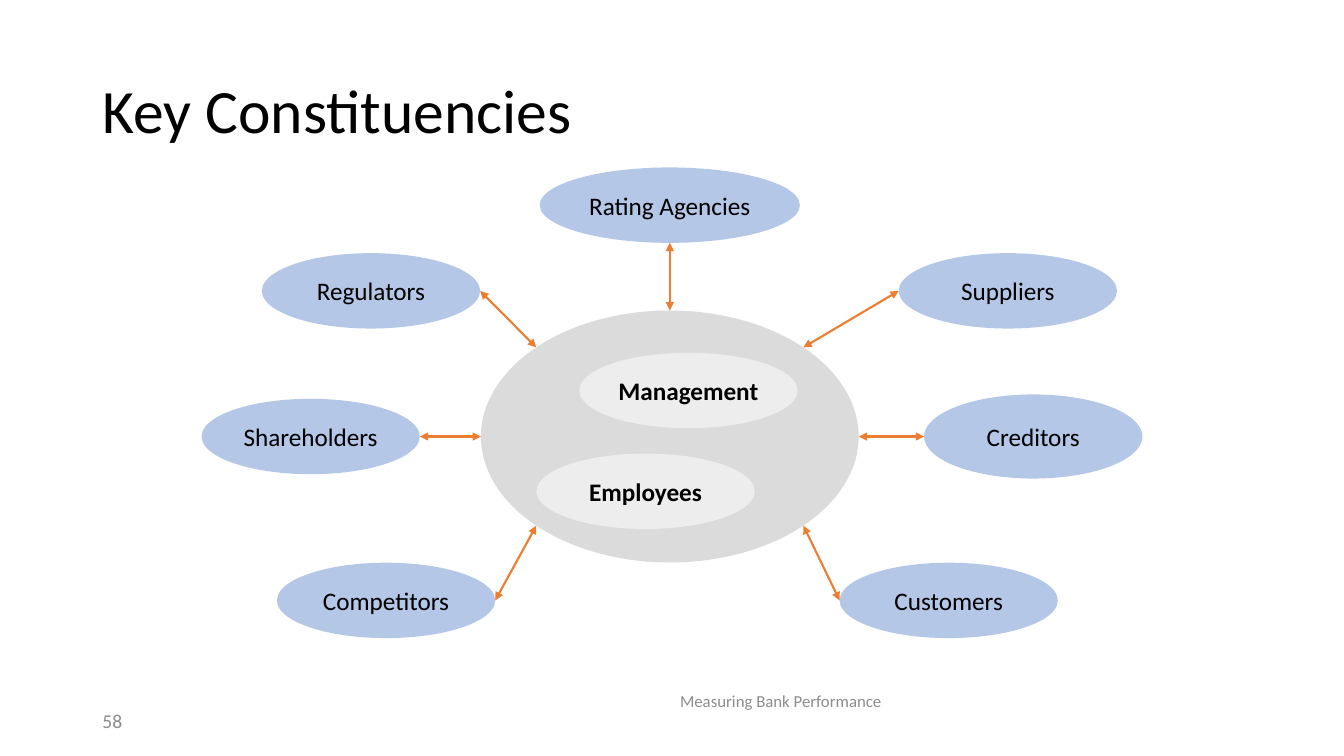
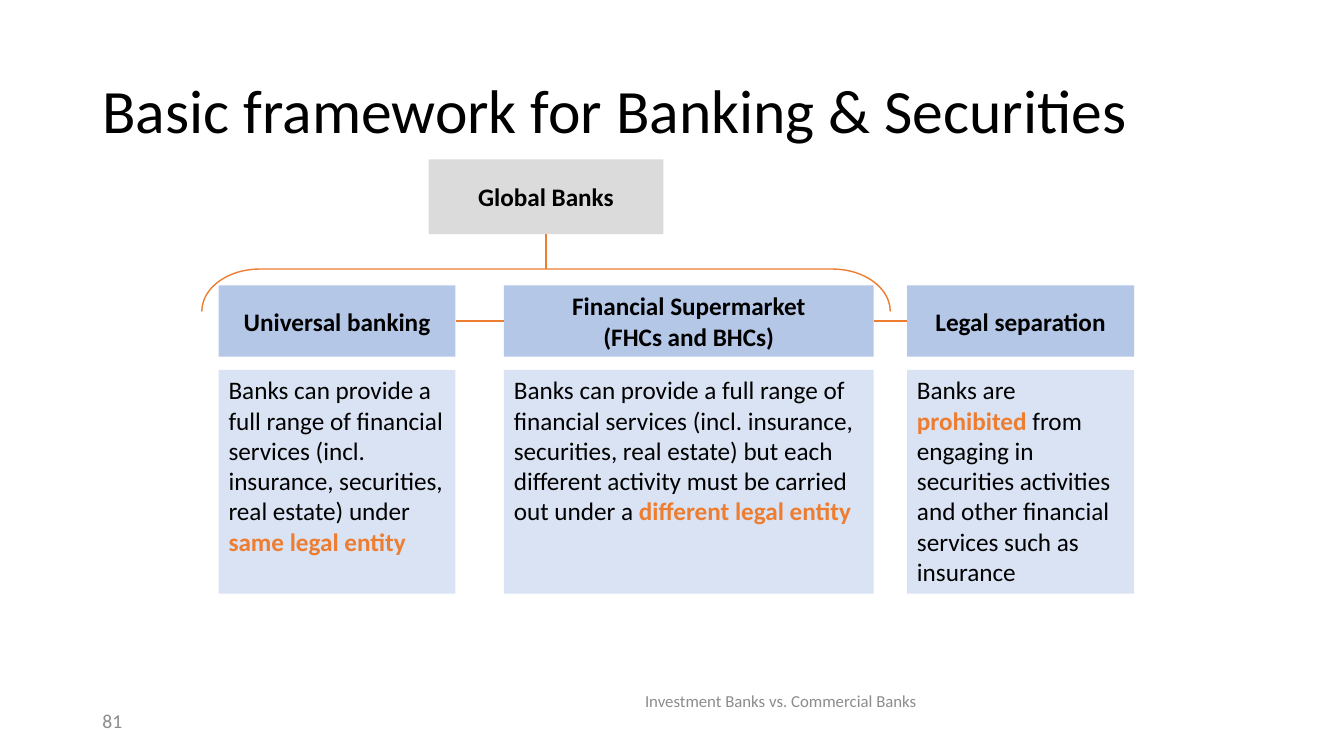
from math import hypot

from lxml.etree import SubElement
from pptx import Presentation
from pptx.dml.color import RGBColor
from pptx.enum.shapes import MSO_CONNECTOR, MSO_SHAPE
from pptx.enum.text import MSO_ANCHOR, MSO_AUTO_SIZE, PP_ALIGN
from pptx.oxml.ns import qn
from pptx.util import Cm, Pt

COLORS = {
    "text": "000000",
    "muted": "8C8C8C",
    "accent": "ED7D31",
    "hub": "DBDBDB",
    "insider": "EDEDED",
    "heading": "B4C7E7",
    "body": "DAE3F3",
}


def color(name):
    return RGBColor.from_string(COLORS[name])


class Deck:
    font = "Calibri"

    def __init__(self):
        self.presentation = Presentation()
        self.presentation.slide_width = Cm(33.87)
        self.presentation.slide_height = Cm(19.05)
        self.slide = None

    def start_slide(self, title, number, footer):
        layout = self.presentation.slide_layouts[5]
        self.slide = self.presentation.slides.add_slide(layout)
        heading = self.slide.shapes.title
        heading.left, heading.top = Cm(2.33), Cm(1.02)
        heading.width, heading.height = Cm(29.21), Cm(3.68)
        self.set_text(heading, [(title, False)], 44, align=PP_ALIGN.LEFT)
        heading.text_frame.paragraphs[0].line_spacing = 0.9
        self.label(number, (2.33, 17.65, 7.62, 1.02), 14, PP_ALIGN.LEFT)
        self.label(footer, (9.75, 17.07, 19.86, 1.19), 12, PP_ALIGN.CENTER)

    def set_text(self, shape, runs, size=18, bold=False, tint="text",
                 align=PP_ALIGN.CENTER, anchor=MSO_ANCHOR.MIDDLE, wrap=True):
        frame = shape.text_frame
        frame.word_wrap = wrap
        frame.auto_size = MSO_AUTO_SIZE.NONE
        frame.vertical_anchor = anchor
        paragraph = frame.paragraphs[0]
        paragraph.alignment = align
        paragraph.font.name = self.font
        paragraph.font.size = Pt(size)
        paragraph.font.bold = bold
        paragraph.font.color.rgb = color(tint)
        for text, strong in runs:
            for index, line in enumerate(text.split("\n")):
                if index:
                    paragraph.add_line_break()
                run = paragraph.add_run()
                run.text = line
                if strong:
                    run.font.bold = True
                    run.font.color.rgb = color("accent")

    def label(self, text, box, size, align):
        field = self.slide.shapes.add_textbox(*map(Cm, box))
        self.set_text(field, [(text, False)], size, tint="muted", align=align)

    def block(self, kind, box, fill):
        shape = self.slide.shapes.add_shape(kind, *map(Cm, box))
        shape.shadow.inherit = False
        shape.fill.solid()
        shape.fill.fore_color.rgb = color(fill)
        shape.line.fill.background()
        return shape

    def oval(self, box, fill, text=None, bold=False):
        shape = self.block(MSO_SHAPE.OVAL, box, fill)
        if text:
            self.set_text(shape, [(text, False)], bold=bold, wrap=False)

    def heading_box(self, text, box, fill):
        shape = self.block(MSO_SHAPE.RECTANGLE, box, fill)
        self.set_text(shape, [(text, False)], bold=True)
        return shape

    def body_box(self, runs, box):
        shape = self.block(MSO_SHAPE.RECTANGLE, box, "body")
        self.set_text(shape, runs, align=PP_ALIGN.LEFT, anchor=MSO_ANCHOR.TOP)

    def connector(self, start=(0, 0), end=(0, 0), width=1, arrows=False):
        line = self.slide.shapes.add_connector(
            MSO_CONNECTOR.STRAIGHT, *map(Cm, (*start, *end)))
        line.line.color.rgb = color("accent")
        line.line.width = Pt(width)
        properties = line._element.spPr
        if arrows:
            outline = properties.find(qn("a:ln"))
            for tag in ("a:headEnd", "a:tailEnd"):
                SubElement(outline, qn(tag), type="triangle")
        SubElement(properties, qn("a:effectLst"))
        return line

    def brace(self, center_x, top, span, depth):
        middle = top + depth / 2
        box = (center_x - depth / 2, middle - span / 2, depth, span)
        bracket = self.slide.shapes.add_shape(
            MSO_SHAPE.LEFT_BRACKET, *map(Cm, box))
        bracket.rotation = 90
        bracket.adjustments[0] = 1.367
        bracket.shadow.inherit = False
        bracket.fill.background()
        bracket.line.color.rgb = color("accent")
        bracket.line.width = Pt(1)


def add_constituencies(deck):
    deck.start_slide("Key Constituencies", "58", "Measuring Bank Performance")
    hub_x, hub_y, hub_width, hub_height = 16.88, 11, 9.52, 6.35
    deck.oval((hub_x - hub_width / 2, hub_y - hub_height / 2,
               hub_width, hub_height), "hub")
    oval_size = (5.5, 1.9)
    insiders = [("Management", 14.6, 8.89), ("Employees", 13.52, 11.43)]
    for name, left, top in insiders:
        deck.oval((left, top, *oval_size), "insider", name, bold=True)

    constituencies = [
        ("Rating Agencies", 13.6, 4.22, (6.56, 1.9), (0, -1)),
        ("Suppliers", 22.65, 6.38, oval_size, (1, -1)),
        ("Creditors", 23.29, 9.94, (5.5, 2.12), (1, 0)),
        ("Customers", 21.16, 14.18, oval_size, (1, 1)),
        ("Competitors", 6.98, 14.18, oval_size, (-1, 1)),
        ("Shareholders", 5.08, 10.05, oval_size, (-1, 0)),
        ("Regulators", 6.6, 6.38, oval_size, (-1, -1)),
    ]
    for name, left, top, (width, height), (side_x, side_y) in constituencies:
        deck.oval((left, top, width, height), "heading", name)
        reach = hypot(side_x, side_y)
        hub_edge = (hub_x + hub_width / 2 * side_x / reach,
                    hub_y + hub_height / 2 * side_y / reach)
        facing_y = 0 if side_x else side_y
        own_edge = (left + width / 2 * (1 - side_x),
                    top + height / 2 * (1 - facing_y))
        deck.connector(hub_edge, own_edge, 1.5, arrows=True)


def add_framework(deck):
    deck.start_slide("Basic framework for Banking & Securities", "81",
                     "Investment Banks vs. Commercial Banks")
    regimes = [
        ("Universal banking", 5.51, 5.97, [
            ("Banks can provide a full range of financial services (incl. "
             "insurance, securities, real estate) under ", False),
            ("same legal entity", True)]),
        ("Financial Supermarket\n(FHCs and BHCs)", 12.7, 9.32, [
            ("Banks can provide a full range of financial services (incl. "
             "insurance, securities, real estate) but each different "
             "activity must be carried out under a ", False),
            ("different legal entity", True)]),
        ("Legal separation", 22.86, 5.72, [
            ("Banks are ", False),
            ("prohibited ", True),
            ("from engaging in securities activities and other financial "
             "services such as insurance", False)]),
    ]
    headings = []
    for name, left, width, description in regimes:
        headings.append(
            deck.heading_box(name, (left, 7.19, width, 1.8), "heading"))
        deck.body_box(description, (left, 9.32, width, 5.64))
    for before, after in zip(headings, headings[1:]):
        link = deck.connector()
        link.begin_connect(before, 3)
        link.end_connect(after, 1)

    center_x, brace_top = 13.76, 6.78
    global_banks = deck.heading_box(
        "Global Banks", (center_x - 2.96, 4.02, 5.92, 1.88), "hub")
    deck.brace(center_x, brace_top, span=17.35, depth=1.07)
    stem = deck.connector(end=(center_x, brace_top))
    stem.begin_connect(global_banks, 2)


def main():
    deck = Deck()
    add_constituencies(deck)
    add_framework(deck)
    deck.presentation.save("out.pptx")


if __name__ == "__main__":
    main()
